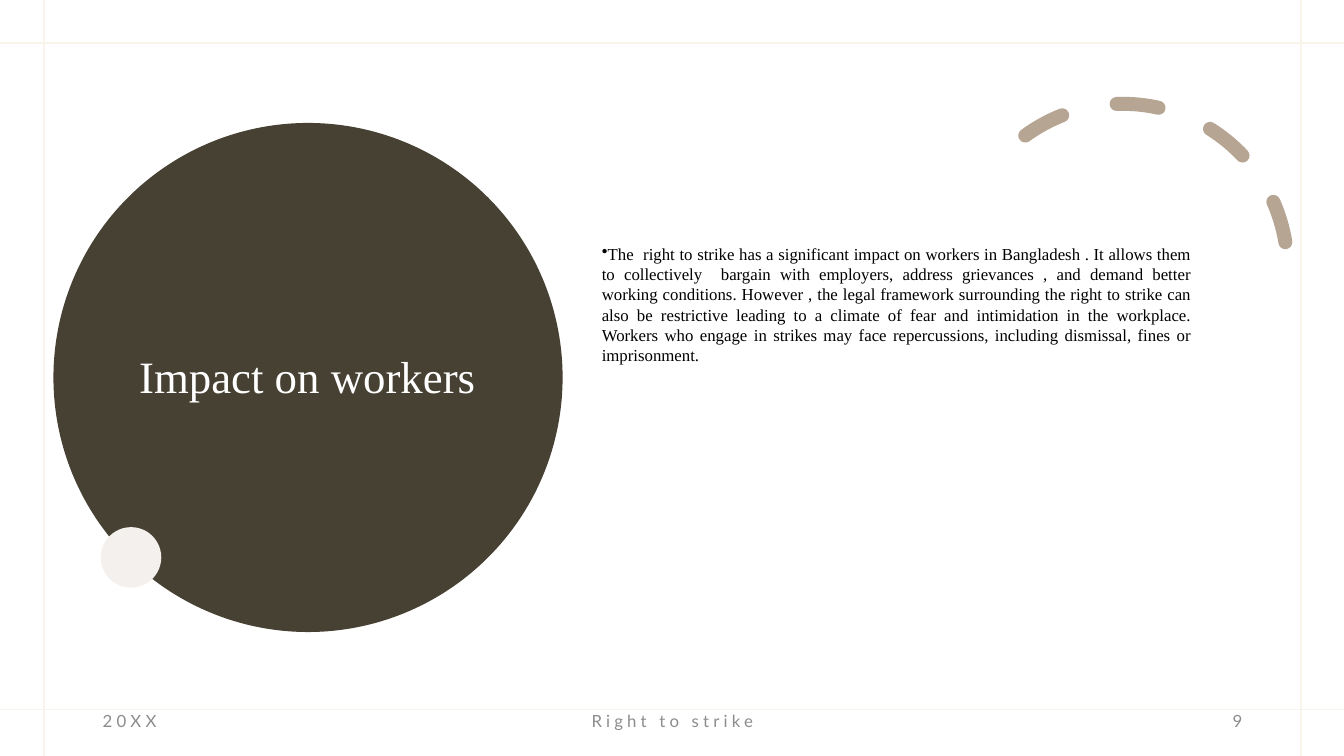
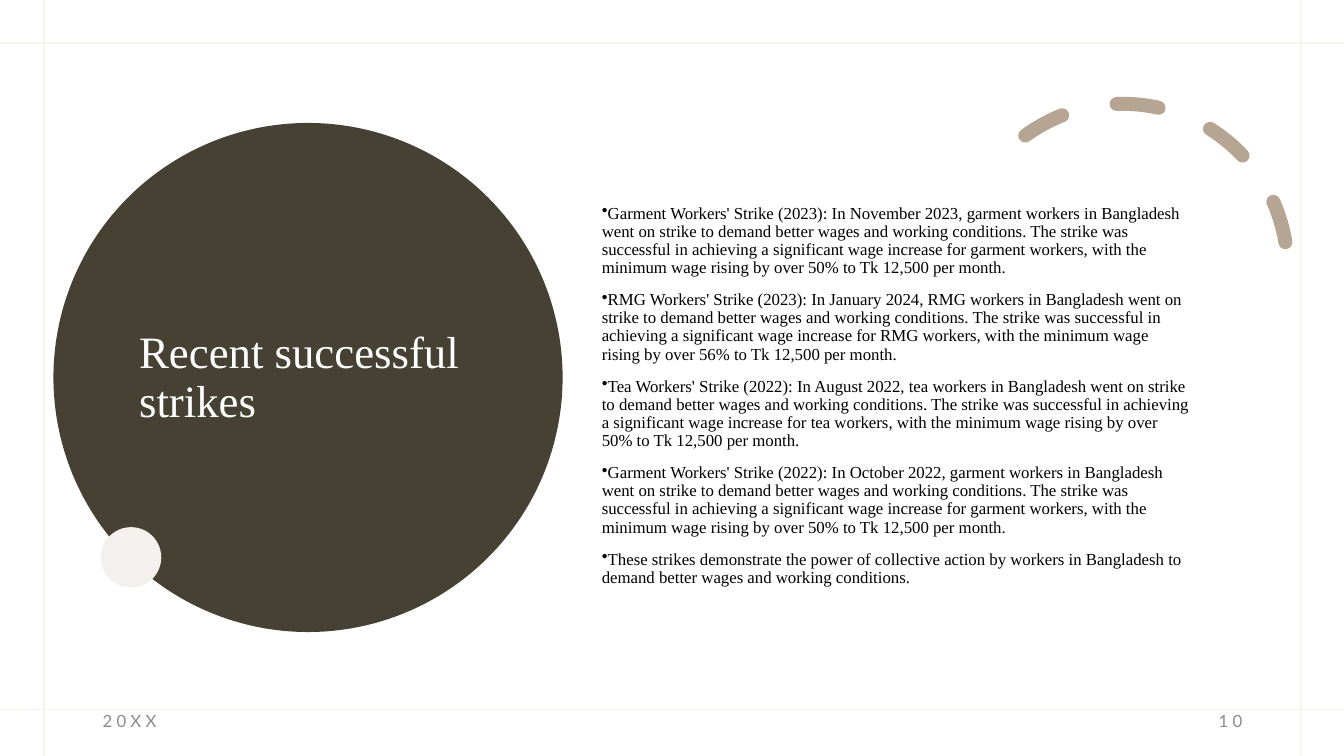
from lxml import etree
from pptx import Presentation
from pptx import util as u
from pptx.dml.color import RGBColor
from pptx.enum import dml, shapes, text
from pptx.oxml.ns import qn

PX = 9144
WIDTH, HEIGHT = 1333, 750

WHITE = RGBColor(0xFF, 0xFF, 0xFF)
BLACK = RGBColor(0x00, 0x00, 0x00)
CREAM = RGBColor(0xF8, 0xF4, 0xEC)
OLIVE = RGBColor(0x47, 0x41, 0x34)
TAN = RGBColor(0xB6, 0xA5, 0x92)
PEARL = RGBColor(0xF4, 0xF0, 0xED)
GREY = RGBColor(0x8C, 0x8C, 0x8C)

SERIF, SANS = "Times New Roman", "Lato"
LEFT, CENTER, RIGHT, JUSTIFY = (
    text.PP_ALIGN.LEFT, text.PP_ALIGN.CENTER, text.PP_ALIGN.RIGHT, text.PP_ALIGN.JUSTIFY)
TOP, MIDDLE = text.MSO_ANCHOR.TOP, text.MSO_ANCHOR.MIDDLE


def px(*lengths):
    return [u.Emu(n * PX) for n in lengths]


def write(sp, *paragraphs, size=12, font=SERIF, color=BLACK, align=LEFT, anchor=TOP,
          line=1.0, before=0, after=0, tracking=0, bullet=None):
    tf = sp.text_frame
    tf.word_wrap = True
    tf.auto_size = text.MSO_AUTO_SIZE.NONE
    tf.vertical_anchor = anchor
    for i, content in enumerate(paragraphs):
        p = tf.add_paragraph() if i else tf.paragraphs[0]
        p.alignment = align
        p.line_spacing = line
        p.space_before, p.space_after = u.Pt(before), u.Pt(after)
        r = p.add_run()
        r.text = content
        r.font.size, r.font.name = u.Pt(size), font
        r.font.color.rgb = color
    if tracking:
        for rPr in sp.element.iter(qn("a:rPr")):
            rPr.set("spc", str(tracking * 100))
    if bullet:
        for pPr in list(sp.element.iter(qn("a:pPr"))):
            etree.SubElement(pPr, qn("a:buChar")).set("char", bullet)


class Deck:
    def __init__(self):
        self.prs = Presentation()
        self.prs.slide_width, self.prs.slide_height = px(WIDTH, HEIGHT)
        self.slide = None

    def new_slide(self, title, number, footer=None):
        self.slide = self.prs.slides.add_slide(self.prs.slide_layouts[5])
        for y in (43, 704):
            self.rule(0, y, WIDTH, y)
        for x in (44, 1290):
            self.rule(x, HEIGHT, x, 0)
        self.circle(53, 122, 505, OLIVE)
        self.title(title)
        self.dashed_arc(950, 103, 327)
        self.circle(100, 523, 60, PEARL)
        self.footer("20XX", 92, 300, LEFT)
        if footer:
            self.footer(footer, 442, 450, CENTER)
        self.footer(str(number), 942, 300, RIGHT)

    def rule(self, x1, y1, x2, y2):
        line = self.slide.shapes.add_connector(
            shapes.MSO_CONNECTOR.STRAIGHT, *px(x1, y1, x2, y2))
        line.line.color.rgb = CREAM
        line.line.width = u.Pt(1.25)
        etree.SubElement(line.element.spPr, qn("a:effectLst"))

    def shape(self, kind, x, y, size):
        sp = self.slide.shapes.add_shape(kind, *px(x, y, size, size))
        sp.shadow.inherit = False
        return sp

    def circle(self, x, y, size, color):
        sp = self.shape(shapes.MSO_SHAPE.OVAL, x, y, size)
        sp.fill.solid()
        sp.fill.fore_color.rgb = color
        sp.line.fill.background()

    def dashed_arc(self, x, y, size):
        sp = self.shape(shapes.MSO_SHAPE.ARC, x, y, size)
        sp.adjustments[0], sp.adjustments[1] = 158.17, 17.81
        sp.rotation = 330.2
        sp.fill.background()
        sp.line.color.rgb = TAN
        sp.line.width = u.Pt(10)
        sp.line.dash_style = dml.MSO_LINE.DASH
        sp.element.spPr.find(qn("a:ln")).set("cap", "rnd")

    def title(self, content):
        sp = self.slide.shapes.title
        sp.left, sp.top, sp.width, sp.height = px(128, 153, 354, 445)
        sp.element.getparent().append(sp.element)
        write(sp, content, size=32, color=WHITE, anchor=MIDDLE, line=0.9)

    def text_box(self, x, y, w, h, *paragraphs, **style):
        sp = self.slide.shapes.add_textbox(*px(x, y, w, h))
        write(sp, *paragraphs, **style)

    def body(self, y, *paragraphs, **style):
        self.text_box(587, y, 605, 597 - y, *paragraphs, before=10, bullet="•", **style)

    def footer(self, content, x, w, align):
        self.text_box(x, 695, w, 40, content, font=SANS, color=GREY, align=align,
                      anchor=MIDDLE, after=6, tracking=3)


def strike(name, year, month, workers, rise):
    return (f"{name} Workers' Strike ({year}): In {month}, {workers} workers in Bangladesh "
            "went on strike to demand better wages and working conditions. The strike was "
            f"successful in achieving a significant wage increase for {workers} workers, "
            f"with the minimum wage rising by over {rise}% to Tk 12,500 per month.")


STRIKES = [
    ("Garment", 2023, "November 2023", "garment", 50),
    ("RMG", 2023, "January 2024", "RMG", 56),
    ("Tea", 2022, "August 2022", "tea", 50),
    ("Garment", 2022, "October 2022", "garment", 50),
]


def main():
    deck = Deck()
    deck.new_slide("Impact on workers", 9, footer="Right to strike")
    deck.body(
        237,
        "The  right to strike has a significant impact on workers in Bangladesh . It allows "
        "them to collectively  bargain with employers, address grievances , and demand better "
        "working conditions. However , the legal framework surrounding the right to strike can "
        "also be restrictive leading to a climate of fear and intimidation in the workplace. "
        "Workers who engage in strikes may face repercussions, including dismissal, fines or "
        "imprisonment.",
        align=JUSTIFY)

    deck.new_slide("Recent successful strikes", 10)
    deck.body(
        198,
        *(strike(*row) for row in STRIKES),
        "These strikes demonstrate the power of collective action by workers in Bangladesh to "
        "demand better wages and working conditions.",
        line=0.9)
    deck.prs.save("out.pptx")


if __name__ == "__main__":
    main()
